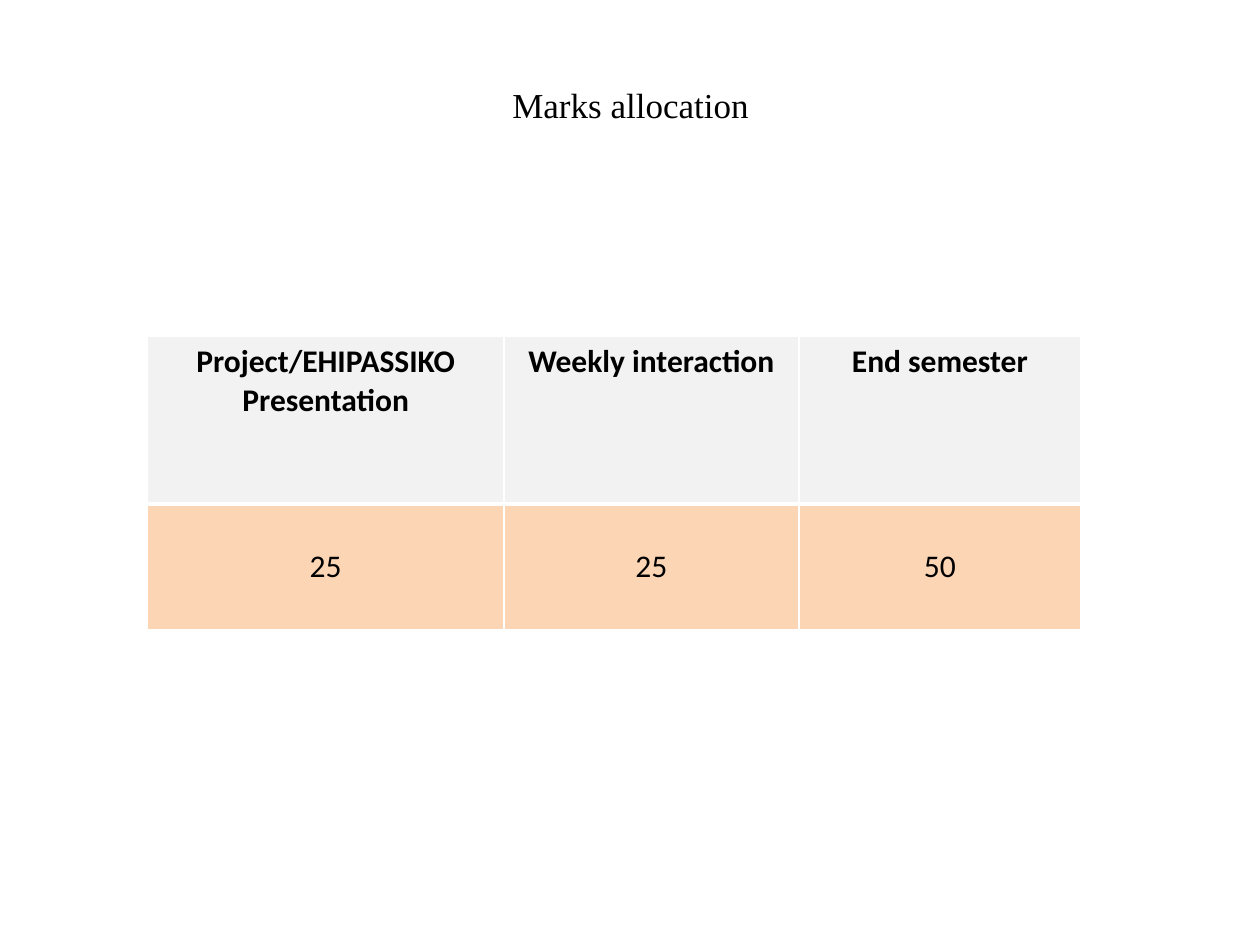
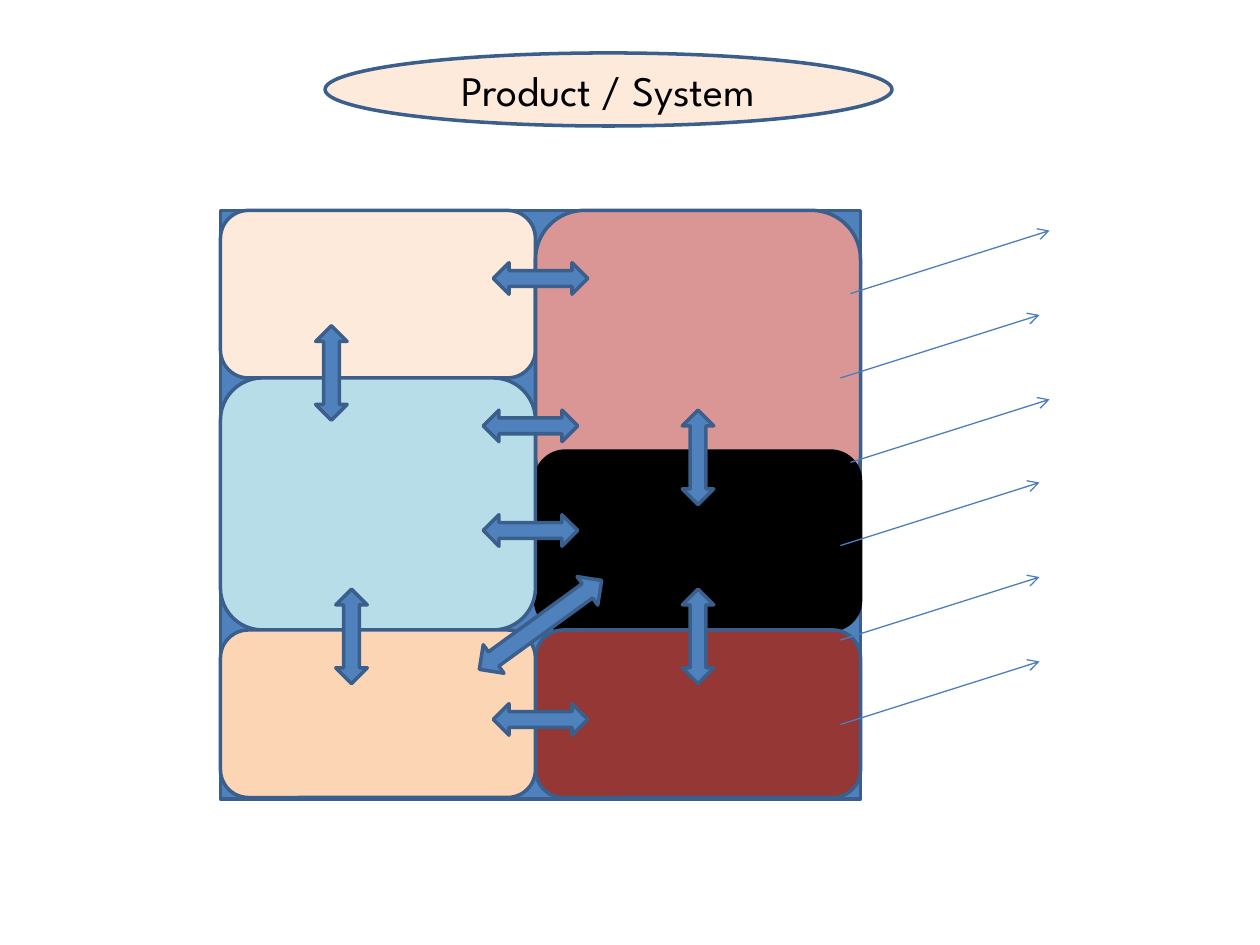
from lxml import etree
from pptx import Presentation
from pptx.dml.color import RGBColor
from pptx.enum.shapes import MSO_CONNECTOR, MSO_SHAPE
from pptx.enum.text import MSO_ANCHOR, PP_ALIGN
from pptx.oxml.ns import qn
from pptx.util import Inches, Pt

OVAL, RECT = MSO_SHAPE.OVAL, MSO_SHAPE.RECTANGLE
ROUNDED, DOUBLE_ARROW = MSO_SHAPE.ROUNDED_RECTANGLE, MSO_SHAPE.LEFT_RIGHT_ARROW
STRAIGHT = MSO_CONNECTOR.STRAIGHT
CENTER, MIDDLE, TOP = PP_ALIGN.CENTER, MSO_ANCHOR.MIDDLE, MSO_ANCHOR.TOP

BLACK, WHITE, GREY = "000000", "FFFFFF", "F2F2F2"
BLUE, OUTLINE, ARROW_LINE = "4F81BD", "3A5F8C", "4B7EBC"
CREAM, PEACH, PINK = "FDEADA", "FCD5B5", "D99694"
AQUA, MAROON = "B7DEE8", "953735"


def color(value):
    return RGBColor.from_string(value)


def write(frame, text, font, size, bold=False):
    """Put one centred black paragraph in a text frame."""
    frame.text = text
    para = frame.paragraphs[0]
    para.alignment = CENTER
    span = para.runs[0]
    span.font.name, span.font.size, span.font.bold = font, Pt(size), bold
    span.font.color.rgb = color(BLACK)


def add_block(page, kind, box, fill, line=OUTLINE, rotation=0):
    """Add a filled, outlined shape; box is left, top, width, height."""
    shape = page.shapes.add_shape(kind, *map(Inches, box))
    shape.shadow.inherit = False
    shape.fill.solid()
    shape.fill.fore_color.rgb = color(fill)
    shape.line.color.rgb = color(line)
    shape.line.width = Pt(2)
    shape.rotation = rotation
    return shape


def set_borders(cell, widths):
    """Draw white borders; widths maps a side letter to points."""
    properties = cell._tc.get_or_add_tcPr()
    for side in "LRTB":
        border = etree.SubElement(properties, qn(f"a:ln{side}"), w=str(Pt(widths[side])))
        fill = etree.SubElement(border, qn("a:solidFill"))
        etree.SubElement(fill, qn("a:srgbClr"), val=WHITE)


# Marks slide
def add_heading(page, box, text):
    heading = page.shapes.add_textbox(*map(Inches, box))
    frame = heading.text_frame
    frame.word_wrap = True
    frame.vertical_anchor = MIDDLE
    write(frame, text, "Times New Roman", 20)


def add_marks_table(page, box):
    rows = [
        ("Project/EHIPASSIKO Presentation", "Weekly interaction", "End semester"),
        ("25", "25", "50"),
    ]
    styles = [  # fill, bold, anchor, top and bottom border
        (GREY, True, TOP, 1, 3),
        (PEACH, False, MIDDLE, 3, 1),
    ]
    table = page.shapes.add_table(2, 3, *map(Inches, box)).table
    for column, width in zip(table.columns, (2.83, 2.34, 2.24)):
        column.width = Inches(width)
    for row, height in zip(table.rows, (1.33, 1)):
        row.height = Inches(height)
    for row, texts, (fill, bold, anchor, top, bottom) in zip(table.rows, rows, styles):
        for cell, text in zip(row.cells, texts):
            set_borders(cell, {"L": 1, "R": 1, "T": top, "B": bottom})
            cell.fill.solid()
            cell.fill.fore_color.rgb = color(fill)
            cell.vertical_anchor = anchor
            write(cell.text_frame, text, "Calibri", 18, bold)


def build_marks_slide(page):
    add_marks_table(page, (1.17, 2.67, 7.42, 2.33))
    add_heading(page, (3.42, 0.58, 3.17, 0.5), "Marks allocation")


# System slide
def add_modules(page, box):
    """Fill the system box with two columns of modules."""
    left, top, width, height = box
    add_block(page, RECT, box, BLUE)
    split = 2.5
    modules = [  # column, offset from top, height, fill, outline
        (0, 0, 1.33, CREAM, OUTLINE),
        (1, 0, 2.33, PINK, OUTLINE),
        (1, 1.91, 1.42, BLACK, BLACK),
        (1, 3.33, 1.33, MAROON, OUTLINE),
        (0, 1.33, 2, AQUA, OUTLINE),
        (0, 3.33, 1.33, PEACH, OUTLINE),
    ]
    columns = [(left, split), (left + split, width - split)]
    for column, offset, module_height, fill, line in modules:
        x, module_width = columns[column]
        add_block(page, ROUNDED, (x, top + offset, module_width, module_height), fill, line)


def add_links(page, box):
    """Add the double arrows between modules, placed by their centres."""
    left, top = box[:2]
    straight, diagonal = (0.75, 0.25), (1.2, 0.28)
    links = [  # centre x, centre y, size, rotation
        (2.54, 0.54, straight, 0),
        (2.46, 1.71, straight, 0),
        (2.46, 2.54, straight, 0),
        (3.79, 1.96, straight, 90),
        (3.79, 3.38, straight, 90),
        (2.54, 4.04, straight, 0),
        (2.54, 3.29, diagonal, 324),
        (0.88, 1.29, straight, 90),
        (1.04, 3.38, straight, 90),
    ]
    for x, y, (width, height), rotation in links:
        place = (left + x - width / 2, top + y - height / 2, width, height)
        add_block(page, DOUBLE_ARROW, place, BLUE, rotation=rotation)


def add_callout_arrows(page, box):
    """Add thin parallel arrows leaving the right side of the system."""
    left, top, width, _ = box
    right = left + width
    starts = [(0.08, 0.66), (0.16, 1.33), (0.08, 2), (0.16, 2.66), (0.16, 3.41), (0.16, 4.08)]
    for inset, offset in starts:
        x, y = right - inset, top + offset
        arrow = page.shapes.add_connector(
            STRAIGHT, Inches(x), Inches(y), Inches(x + 1.58), Inches(y - 0.5))
        arrow.line.color.rgb = color(ARROW_LINE)
        arrow.line.width = Pt(0.75)
        etree.SubElement(arrow.line._get_or_add_ln(), qn("a:tailEnd"), type="arrow")
        etree.SubElement(arrow._element.spPr, qn("a:effectLst"))


def build_system_slide(page):
    title = add_block(page, OVAL, (2.58, 0.42, 4.5, 0.58), CREAM)
    title.text_frame.vertical_anchor = MIDDLE
    write(title.text_frame, "Product / System", "League Spartan", 24)
    system = (1.75, 1.67, 5.08, 4.67)
    add_modules(page, system)
    add_links(page, system)
    add_callout_arrows(page, system)


def main():
    deck = Presentation()
    deck.slide_width, deck.slide_height = Inches(10), Inches(7.5)
    blank = deck.slide_layouts[6]
    for build in (build_marks_slide, build_system_slide):
        build(deck.slides.add_slide(blank))
    deck.save("out.pptx")


if __name__ == "__main__":
    main()
